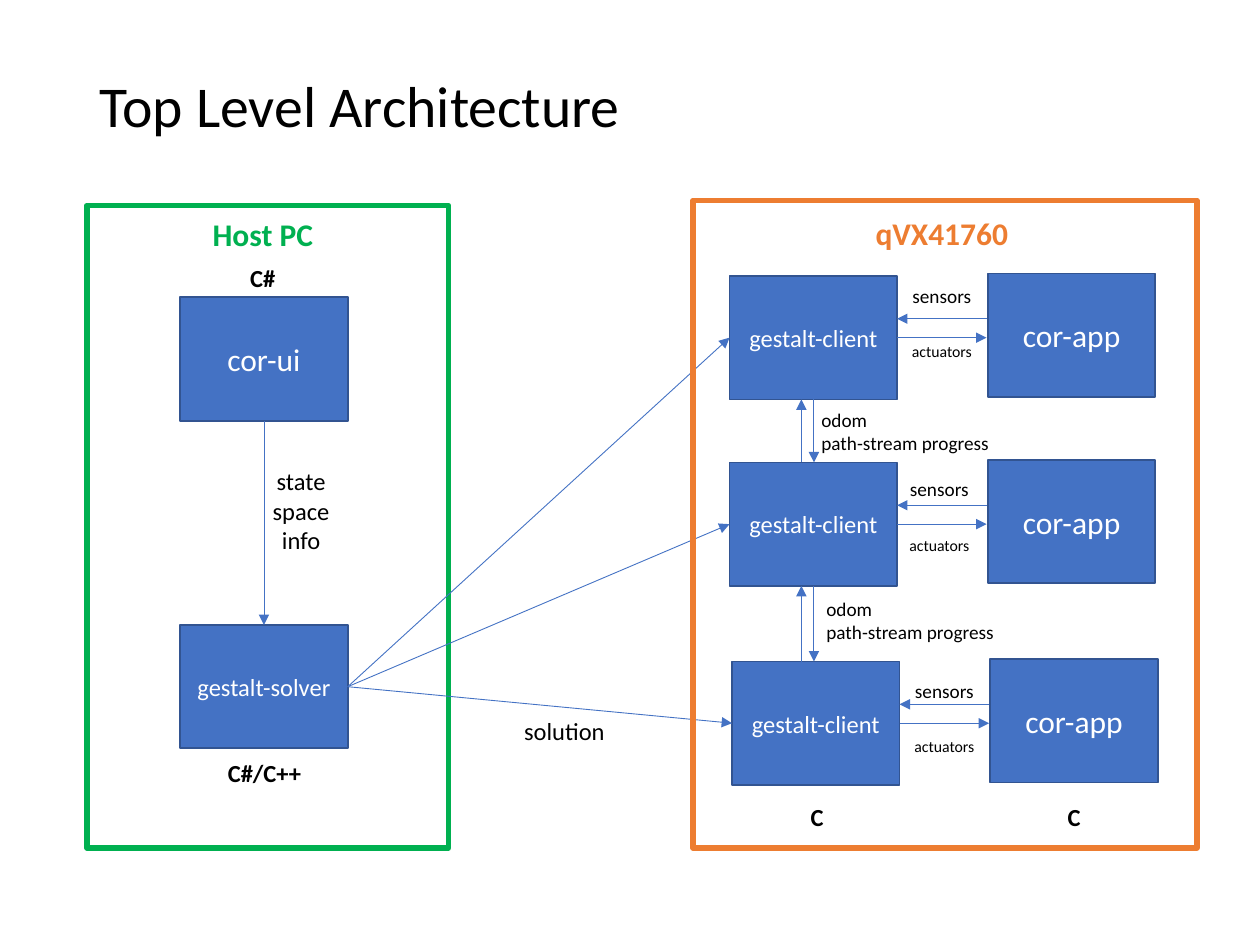
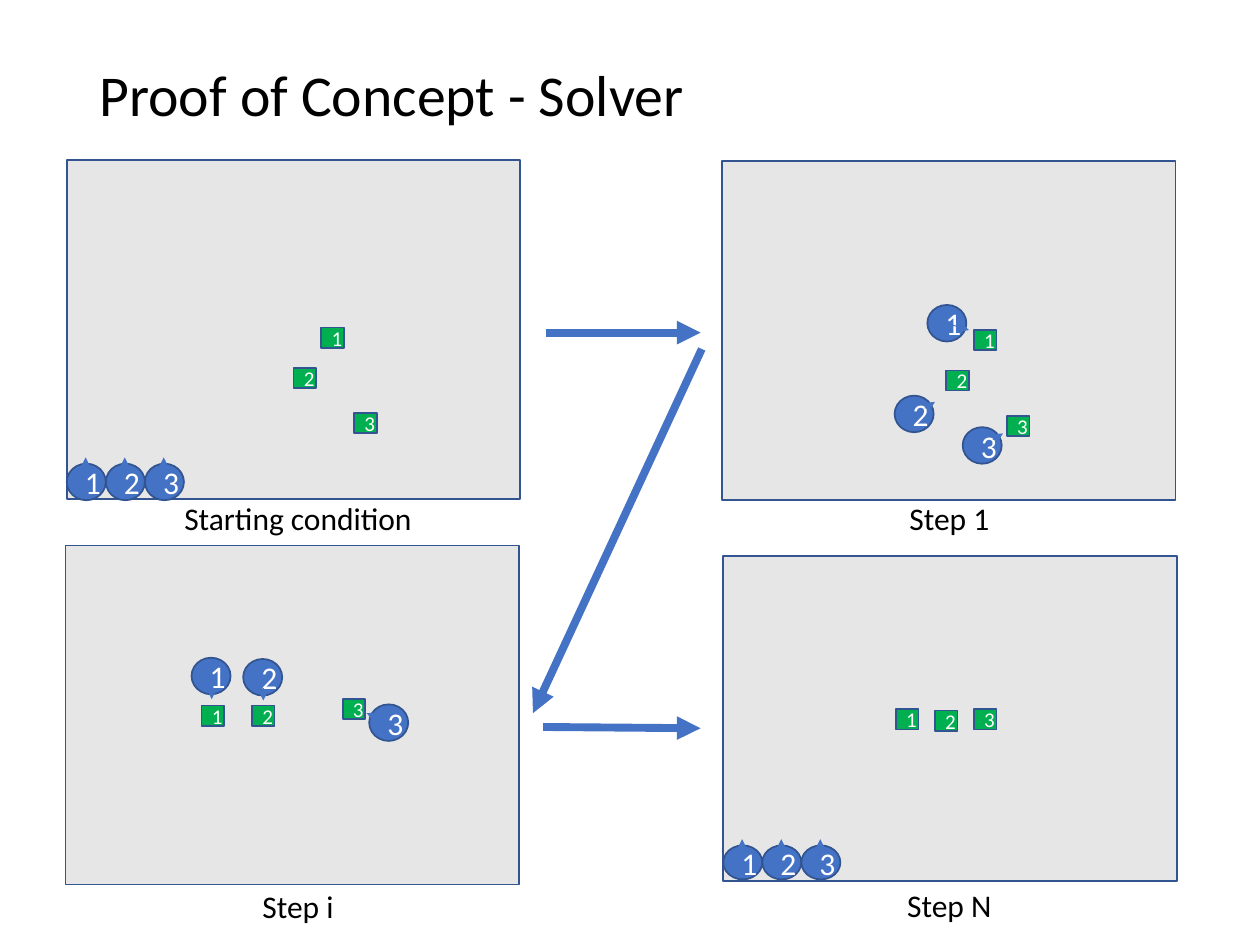
import pptx
import pptx.util
import pptx.dml.color
import pptx.enum.shapes
import pptx.enum.text
import pptx.oxml.ns
from lxml import etree

PX = 9144  # EMU per px, 100 px to the inch
FONT = "Calibri"
BLUE, NAVY, GREEN, ORANGE = "4472C4", "325491", "00B050", "ED7D31"
GREY, WHITE, BLACK = "E7E6E6", "FFFFFF", "000000"
RECT = pptx.enum.shapes.MSO_SHAPE.RECTANGLE
OVAL = pptx.enum.shapes.MSO_SHAPE.OVAL
LEFT = pptx.enum.text.PP_ALIGN.LEFT
CENTER = pptx.enum.text.PP_ALIGN.CENTER
MIDDLE = pptx.enum.text.MSO_ANCHOR.MIDDLE


def rgb(color):
    return pptx.dml.color.RGBColor.from_string(color)


def emu(*lengths):
    return [n * PX for n in lengths]


def write(tf, lines, size, color=BLACK, bold=False, align=CENTER):
    for i, line in enumerate(lines):
        p = tf.paragraphs[0] if i == 0 else tf.add_paragraph()
        p.alignment = align
        r = p.add_run()
        r.text = line
        r.font.name = FONT
        r.font.size = pptx.util.Pt(size)
        r.font.bold = bold
        r.font.color.rgb = rgb(color)


def box(s, kind, x, y, w, h, fill=None, line=NAVY, weight=1, text=None, size=18):
    sp = s.shapes.add_shape(kind, *emu(x, y, w, h))
    sp.shadow.inherit = False
    if fill:
        sp.fill.solid()
        sp.fill.fore_color.rgb = rgb(fill)
    else:
        sp.fill.background()
    sp.line.color.rgb = rgb(line)
    sp.line.width = pptx.util.Pt(weight)
    if text:
        sp.text_frame.vertical_anchor = MIDDLE
        write(sp.text_frame, [text], size, WHITE)
    return sp


def label(s, x, y, w, h, lines, size, **style):
    tf = s.shapes.add_textbox(*emu(x, y, w, h)).text_frame
    tf.word_wrap = True
    tf.auto_size = pptx.enum.text.MSO_AUTO_SIZE.SHAPE_TO_FIT_TEXT
    write(tf, lines, size, **style)


def arrow(s, x1, y1, x2, y2, weight=0.5, begin=None, end=None):
    """begin and end are (shape, connection site) pairs."""
    straight = pptx.enum.shapes.MSO_CONNECTOR.STRAIGHT
    c = s.shapes.add_connector(straight, *emu(x1, y1, x2, y2))
    if begin:
        c.begin_connect(*begin)
    if end:
        c.end_connect(*end)
    c.line.color.rgb = rgb(BLUE)
    c.line.width = pptx.util.Pt(weight)
    qn = pptx.oxml.ns.qn
    etree.SubElement(c.line._get_or_add_ln(), qn("a:tailEnd"), type="triangle")
    etree.SubElement(c._element.spPr, qn("a:effectLst"))


def titled_slide(prs, text, top):
    s = prs.slides.add_slide(prs.slide_layouts[5])
    title = s.shapes.title
    title.left, title.top, title.width, title.height = emu(69, top, 862, 145)
    title.text_frame.vertical_anchor = MIDDLE
    write(title.text_frame, [text], 33, align=LEFT)
    title.text_frame.paragraphs[0].line_spacing = 0.9
    return s


# Architecture slide
NODE_W, NODE_H = 133, 98


def node(s, x, y, text, size):
    return box(s, RECT, x, y, NODE_W, NODE_H, BLUE, text=text, size=size)


def host_region(s, x, y, w, h):
    box(s, RECT, x, y, w, h, line=GREEN, weight=3)
    label(s, x + 30, y + 3, 219, 30, ["Host PC"], 18, color=GREEN, bold=True)
    label(s, x + 104, y + 41, 71, 34, ["C#"], 14, bold=True)
    ui = node(s, x + 74, y + 73, "cor-ui", 18)
    solver = node(s, x + 74, y + 333, "gestalt-solver", 14)
    arrow(s, 0, 0, 0, 0, begin=(ui, 2), end=(solver, 0))
    label(s, x + 97, y + 202, 146, 81, ["state", "space", "info"], 14)
    label(s, x + 99, y + 434, 84, 34, ["C#/C++"], 14, bold=True)
    return solver


def client_row(s, x, y, label_x, sensors_y, actuators_y):
    """A client and its app, with the two arrows between them."""
    client = node(s, x, y, "gestalt-client", 14)
    node(s, x + 205, y - 2, "cor-app", 18)
    right, app_left = x + NODE_W, x + 204
    arrow(s, app_left, y + 34, right, y + 34)
    arrow(s, right, y + 49, app_left, y + 49, begin=(client, 3))
    label(s, x + label_x, y + sensors_y, 71, 29, ["sensors"], 11)
    label(s, x + label_x, y + actuators_y, 71, 25, ["actuators"], 9)
    return client


def board_region(s, x, y, w, h, solver):
    rows = [(29, 60, 133, 2, 47), (29, 208, 131, 7, 53), (31, 366, 133, 9, 55)]
    for dx, dy, *labels in rows:
        client = client_row(s, x + dx, y + dy, *labels)
        arrow(s, 0, 0, 0, 0, begin=(solver, 3), end=(client, 1))
    # Links between neighbouring clients
    for upper, lower, text_x, text_y in zip(rows, rows[1:], (92, 96), (160, 310)):
        top, bottom = y + upper[1] + NODE_H, y + lower[1]
        arrow(s, x + 86, bottom, x + 86, top)
        arrow(s, x + 96, top, x + 96, bottom)
        label(s, x + text_x, y + text_y, 177, 66,
              ["odom", "path-stream progress"], 11, align=LEFT)
    # Frame, heading and languages
    box(s, RECT, x, y, w, h, line=ORANGE, weight=3)
    label(s, x + 88, y + 6, 219, 30, ["qVX41760"], 18, color=ORANGE, bold=True)
    for dx in (63, 267):
        label(s, x + dx, y + 473, 71, 34, ["C"], 14, bold=True)


def architecture_slide(prs):
    s = titled_slide(prs, "Top Level Architecture", 14)
    solver = host_region(s, 69, 163, 287, 510)
    label(s, 375, 563, 146, 34, ["solution"], 14)
    board_region(s, 550, 159, 400, 514, solver)


# Solver slide: pointer start and end relative to a robot
UP, DOWN = (15, 5, 15, -5), (16, 23, 16, 33)
EAST, WEST, NORTH_EAST = (20, 16, 33, 20), (7, 11, -2, 7), (24, 10, 32, 5)


def parked(y):
    return [(31 * i, y, UP) for i in range(3)]


def panel(s, x, y, h, robots, targets, caption, caption_x, caption_y, robot_h=29):
    box(s, RECT, x, y, 360, h, GREY)
    for i, (dx, dy, (x1, y1, x2, y2)) in enumerate(robots, 1):
        rx, ry = x + dx, y + dy
        box(s, OVAL, rx, ry, 31, robot_h, BLUE, text=str(i), size=18)
        arrow(s, rx + x1, ry + y1, rx + x2, ry + y2)
    for i, (dx, dy) in enumerate(targets, 1):
        box(s, RECT, x + dx, y + dy, 18, 16, GREEN, text=str(i), size=12)
    label(s, x + caption_x, y + caption_y, 335, 40, [caption], 18)


def solver_slide(prs):
    s = titled_slide(prs, "Proof of Concept - Solver", 5)
    panel(s, 53, 127, 269, parked(241), [(202, 133), (180, 165), (228, 201)],
          "Starting condition", 16, 264)
    panel(s, 573, 128, 269,
          [(163, 114, EAST), (137, 186, NORTH_EAST), (191, 211, NORTH_EAST)],
          [(200, 134), (178, 166), (226, 202)], "Step 1", 13, 263)
    panel(s, 52, 433, 269, [(100, 89, DOWN), (141, 90, DOWN), (241, 126, WEST)],
          [(108, 127), (148, 127), (220, 122)], "Step i", 17, 266)
    panel(s, 574, 441, 258, parked(230), [(137, 122), (168, 123), (199, 122)],
          "Step N", 12, 257, robot_h=27)
    # Order of the steps
    for ends in ((433, 264, 556, 264), (557, 277, 423, 566), (431, 577, 556, 578)):
        arrow(s, *ends, weight=4.5)


def main():
    prs = pptx.Presentation()
    prs.slide_width, prs.slide_height = emu(1000, 750)
    architecture_slide(prs)
    solver_slide(prs)
    prs.save("out.pptx")


if __name__ == "__main__":
    main()
